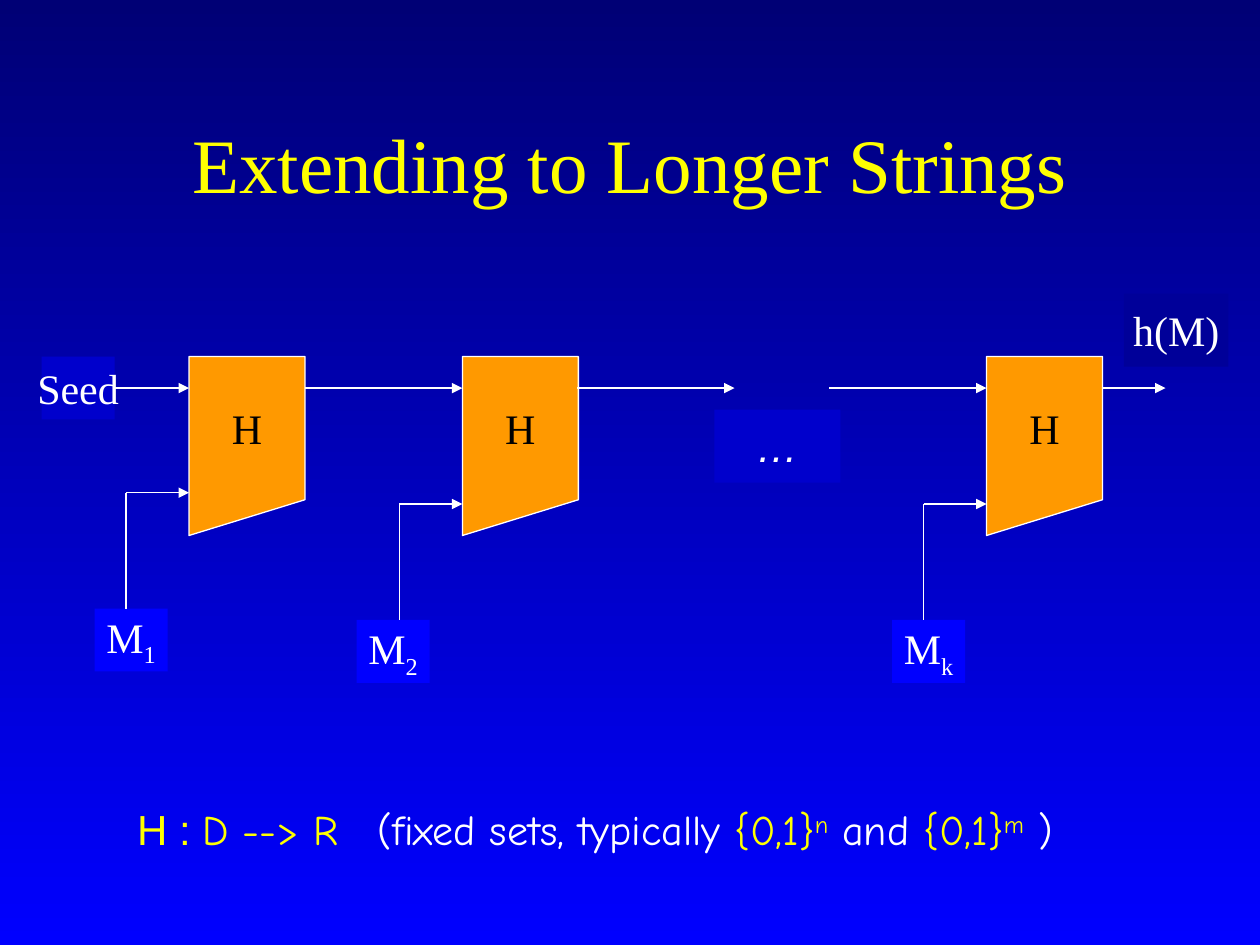
"""Build a slide that shows a hash function chained over message blocks."""
from typing import NamedTuple, Optional

from lxml.etree import SubElement
from pptx import Presentation
from pptx.dml.color import RGBColor
from pptx.enum.shapes import MSO_CONNECTOR as Connector, MSO_SHAPE as Shape
from pptx.enum.text import MSO_ANCHOR as Anchor, MSO_AUTO_SIZE as AutoSize, PP_ALIGN as Align
from pptx.oxml.ns import qn
from pptx.util import Inches, Pt

SERIF, SANS, COMIC = "Times New Roman", "Arial", "Comic Neue"
YELLOW, WHITE, BLACK, ORANGE = "FFFF00", "FFFFFF", "000000", "FF9900"
CHAIN_Y = 3.08
STAGE_TOP, STAGE_WIDTH, STAGE_HEIGHT = 2.83, 0.92, 1.42
BEND_HEIGHT = 0.92


class Label(NamedTuple):
    """A filled rectangle with a short text."""
    text: str
    left: float
    top: float
    width: float
    height: float
    fill: str
    font: str = SERIF
    subscript: str = ""


class Stage(NamedTuple):
    """One use of H and the message block fed into it."""
    left: float
    block_left: float
    block_top: float
    index: str


class Piece(NamedTuple):
    """A stretch of the formula line."""
    text: str
    color: str
    font: str = COMIC
    baseline: int = 0


STAGES = [
    Stage(1.5, 0.75, 4.83, "1"),
    Stage(3.67, 2.83, 4.92, "2"),
    Stage(7.83, 7.08, 4.92, "k"),
]
SEED = Label("Seed", 0.33, 2.83, 0.58, 0.5, "0000CC")
DOTS = Label("…", 5.67, 3.25, 1, 0.58, "0000CC", SANS)
RESULT = Label("h(M)", 8.92, 2.33, 0.83, 0.58, "000099")
CHAIN_ARROWS = [(2.42, 3.67), (4.58, 5.83), (6.58, 7.83), (8.75, 9.25)]
FORMULA = [
    Piece("Η : ", YELLOW, SANS),
    Piece("D --> R", YELLOW),
    Piece("\t(fixed sets, typically ", WHITE),
    Piece("{0,1}", YELLOW),
    Piece("n", YELLOW, baseline=30),
    Piece(" and ", WHITE),
    Piece("{0,1}", YELLOW),
    Piece("m", YELLOW, baseline=30),
    Piece(" )", WHITE),
]


def rgb(value: str) -> RGBColor:
    """Turn a hex string into a colour."""
    return RGBColor.from_string(value)


def style_font(font, name: str, size: float, color: str) -> None:
    """Set the typeface, size and colour of a font."""
    font.name, font.size = name, Pt(size)
    font.color.rgb = rgb(color)


def add_span(para, text: str, baseline: int = 0):
    """Append a run, raised or lowered by a percentage."""
    span = para.add_run()
    span.text = text
    if baseline:
        span.font._element.set("baseline", str(baseline * 1000))
    return span


def add_box(page, kind, left: float, top: float, width: float, height: float, fill: str):
    """Add a filled shape without outline, ready for one centred line."""
    box = page.shapes.add_shape(kind, Inches(left), Inches(top), Inches(width), Inches(height))
    box.shadow.inherit = False
    box.fill.solid()
    box.fill.fore_color.rgb = rgb(fill)
    box.line.fill.background()
    box.text_frame.word_wrap = False
    box.text_frame.vertical_anchor = Anchor.MIDDLE
    box.text_frame.paragraphs[0].alignment = Align.CENTER
    return box


def add_label(page, label: Label):
    """Draw a label with its optional subscript."""
    box = add_box(page, Shape.RECTANGLE, label.left, label.top, label.width, label.height, label.fill)
    para = box.text_frame.paragraphs[0]
    style_font(para.font, label.font, 24, WHITE)
    para.font.italic = label.font == SANS
    add_span(para, label.text)
    if label.subscript:
        add_span(para, label.subscript, -25)
    return box


def add_line(page, start: tuple, end: tuple, arrow: bool = True, source: Optional[object] = None) -> None:
    """Draw a thin white line, joined to the right side of a source box if given."""
    line = page.shapes.add_connector(Connector.STRAIGHT, *(Inches(value) for value in start + end))
    if source is not None:
        line.begin_connect(source, 3)
    line.line.color.rgb = rgb(WHITE)
    line.line.width = Pt(0.75)
    if arrow:
        SubElement(line.line._get_or_add_ln(), qn("a:tailEnd"), type="triangle")
    SubElement(line.element.spPr, qn("a:effectLst"))


def add_stage(page, stage: Stage) -> None:
    """Draw one H with its message block and the bent arrow between them."""
    box = add_box(page, Shape.FLOWCHART_MANUAL_INPUT, stage.left, STAGE_TOP, STAGE_WIDTH, STAGE_HEIGHT, ORANGE)
    box.rotation = 180
    box.line.color.rgb = rgb(WHITE)
    box.line.width = Pt(0.75)
    box.element.txBody.find(qn("a:bodyPr")).set("rot", "10800000")
    para = box.text_frame.paragraphs[0]
    style_font(para.font, SERIF, 24, BLACK)
    add_span(para, "H")

    add_label(page, Label("M", stage.block_left, stage.block_top, 0.58, 0.5, "0000FF", subscript=stage.index))
    feed_x, bend_y = stage.left - 0.5, stage.block_top - BEND_HEIGHT
    add_line(page, (feed_x, stage.block_top), (feed_x, bend_y), arrow=False)
    add_line(page, (feed_x, bend_y), (stage.left, bend_y))


def add_title(page, text: str) -> None:
    """Place and format the title."""
    title = page.shapes.title
    title.left, title.top, title.width, title.height = map(Inches, (0.75, 0.67, 8.5, 1.25))
    title.text_frame.auto_size = AutoSize.NONE
    title.text_frame.vertical_anchor = Anchor.MIDDLE
    title.text_frame.text = text
    para = title.text_frame.paragraphs[0]
    para.alignment = Align.CENTER
    style_font(para.font, SERIF, 44, YELLOW)


def add_formula(page, pieces: list[Piece]) -> None:
    """Write the domain and range of H."""
    box = page.shapes.add_textbox(Inches(0.99), Inches(6.33), Inches(7.65), Inches(0.5))
    box.text_frame.word_wrap = True
    para = box.text_frame.paragraphs[0]
    para.alignment = Align.LEFT
    tabs = SubElement(para._p.get_or_add_pPr(), qn("a:tabLst"))
    SubElement(tabs, qn("a:tab"), pos=str(Inches(1.91)), algn="l")
    for piece in pieces:
        span = add_span(para, piece.text, piece.baseline)
        style_font(span.font, piece.font, 24, piece.color)


def paint_background(page) -> None:
    """Fill the page with a vertical blue gradient."""
    fill = page.background.fill
    fill.gradient()
    fill.gradient_angle = 270
    for stop, position, color in zip(fill.gradient_stops, (0, 1), ("000075", "0000FF")):
        stop.position = position
        stop.color.rgb = rgb(color)


def main() -> None:
    """Build and save the deck."""
    deck = Presentation()
    deck.slide_width, deck.slide_height = Inches(10), Inches(7.5)
    page = deck.slides.add_slide(deck.slide_layouts[5])
    paint_background(page)
    add_title(page, "Extending to Longer Strings")
    for stage in STAGES:
        add_stage(page, stage)
    for start, end in CHAIN_ARROWS:
        add_line(page, (start, CHAIN_Y), (end, CHAIN_Y))
    add_label(page, DOTS)
    seed = add_label(page, SEED)
    add_line(page, (0.91, CHAIN_Y), (STAGES[0].left, CHAIN_Y), source=seed)
    add_label(page, RESULT)
    add_formula(page, FORMULA)
    deck.save("out.pptx")


if __name__ == "__main__":
    main()
